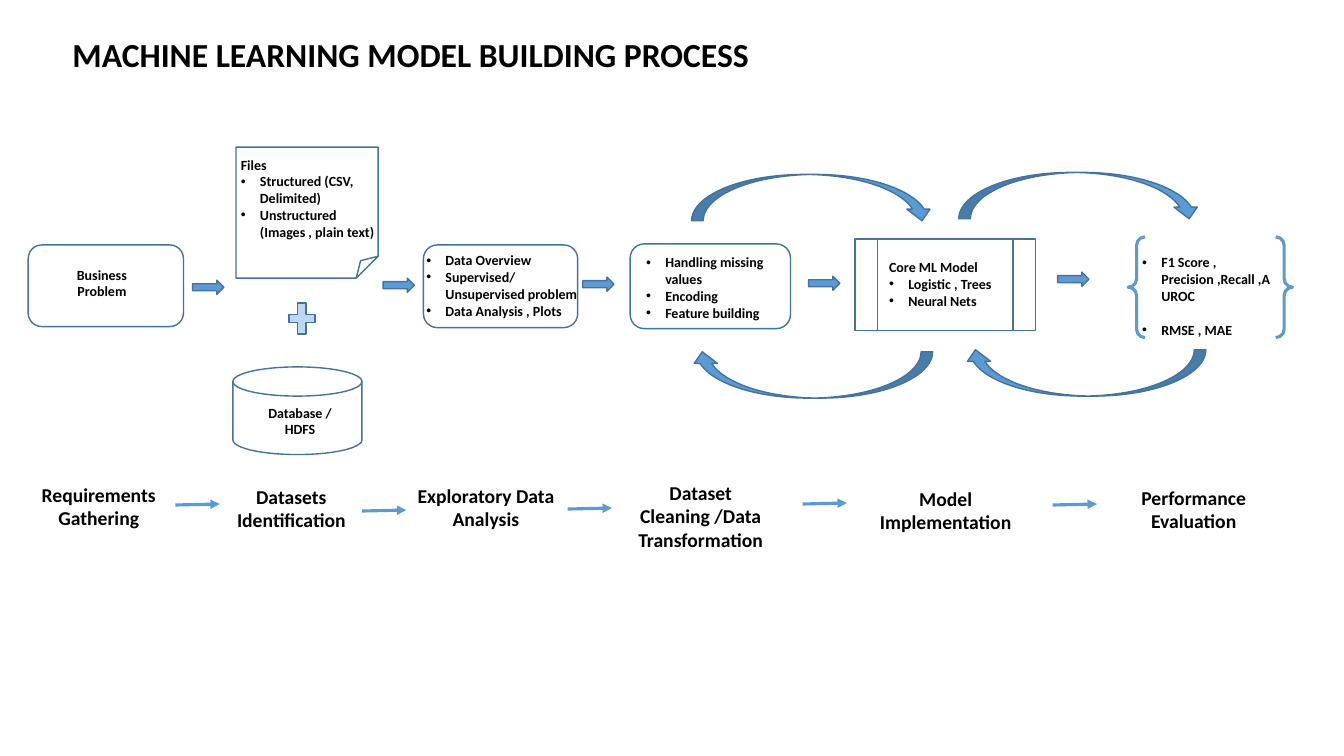
from lxml import etree
from pptx import Presentation
from pptx import util as u
from pptx.dml.color import RGBColor
from pptx.enum import shapes, text
from pptx.oxml.ns import qn

MSO = shapes.MSO_SHAPE
BLUE, EDGE, PALE, BLACK = "5B9BD5", "43739E", "BDD7EE", "000000"
INDENT = u.Inches(0.19)

# Each stage shape: preset, box, outline colour, outline width
STAGE_SHAPES = [
    (MSO.ROUNDED_RECTANGLE, (0, 0.97, 1.54, 0.81), EDGE, 1),
    (MSO.FOLDED_CORNER, (2.06, 0, 1.41, 1.3), EDGE, 1),
    (MSO.FLOWCHART_MAGNETIC_DISK, (2.03, 2.18, 1.28, 0.87), EDGE, 1),
    (MSO.ROUNDED_RECTANGLE, (3.92, 0.97, 1.53, 0.82), EDGE, 1),
    (MSO.ROUNDED_RECTANGLE, (5.97, 0.96, 1.59, 0.84), EDGE, 1),
    (MSO.FLOWCHART_PREDEFINED_PROCESS, (8.2, 0.91, 1.79, 0.91), EDGE, 1),
    (MSO.DOUBLE_BRACE, (10.91, 0.89, 1.63, 1), BLUE, 2.25),
]
# Each stage text: box, heading lines, bulleted lines, centred
STAGE_TEXTS = [
    ((0.22, 1.13, 1.02, 0.44), ["Business Problem"], [], True),
    ((2.01, 0.04, 1.54, 1.16), ["Files"],
     ["Structured (CSV, Delimited)", "Unstructured (Images , plain text)"], False),
    ((2.14, 2.5, 1.11, 0.44), ["Database / HDFS"], [], True),
    ((3.85, 0.99, 1.73, 1.28), [],
     ["Data Overview", "Supervised/ Unsupervised problem", "Data Analysis , Plots"], False),
    ((6.03, 1.01, 1.52, 0.77), [],
     ["Handling missing values", "Encoding", "Feature building"], False),
    ((8.44, 1.06, 1.52, 0.94), ["Core ML Model"], ["Logistic , Trees", "Neural Nets"], False),
    ((10.95, 1.01, 1.52, 0.77), [], ["F1 Score , Precision ,Recall ,AUROC", "RMSE , MAE"], False),
]
FLOW_ARROWS = [(1.63, 1.32), (3.52, 1.3), (5.5, 1.29), (7.74, 1.28), (10.21, 1.24)]
# Each loop: unrotated box, rotation
LOOPS = [
    ((2.7, 1.76, 0.46, 2.4), 90), ((-0.01, 1.78, 0.46, 2.4), 90),
    ((0, 0.02, 0.46, 2.4), 270), ((2.65, 0, 0.46, 2.4), 270),
]
# Each label: left, top, height, lines
LABELS = [
    (0, 0.02, 0.57, ["Requirements", "Gathering"]),
    (1.91, 0.04, 0.57, ["Datasets Identification"]),
    (3.84, 0.03, 0.57, ["Exploratory Data Analysis"]),
    (5.97, 0, 0.81, ["Dataset Cleaning /Data Transformation"]),
    (8.4, 0.06, 0.57, ["Model Implementation"]),
    (10.86, 0.05, 0.57, ["Performance Evaluation"]),
]
LABEL_ARROWS = [(1.58, 0.29), (3.43, 0.35), (5.47, 0.33), (7.8, 0.28), (10.28, 0.29)]


def color(value):
    return RGBColor.from_string(value)


def place(box, part):
    """Shift a part's left, top, width and height by the corner of its region."""
    return [u.Inches(n) for n in (box[0] + part[0], box[1] + part[1], part[2], part[3])]


def add_outline(slide, preset, at, line=EDGE, width=1, fill=None):
    sp = slide.shapes.add_shape(preset, *at)
    sp.shadow.inherit = False
    if fill:
        sp.fill.solid()
        sp.fill.fore_color.rgb = color(fill)
    else:
        sp.fill.background()
    sp.line.color.rgb = color(line)
    sp.line.width = u.Pt(width)
    return sp


def add_bullet(p):
    pPr = p._p.get_or_add_pPr()
    pPr.set("marL", str(INDENT))
    pPr.set("indent", str(-INDENT))
    etree.SubElement(pPr, qn("a:buFont"), typeface="Arial")
    etree.SubElement(pPr, qn("a:buChar"), char="•")


def add_text(slide, at, size, lines, bullets=(), centred=False):
    tf = slide.shapes.add_textbox(*at).text_frame
    tf.word_wrap = True
    for i, words in enumerate([*lines, *bullets]):
        p = tf.paragraphs[0] if i == 0 else tf.add_paragraph()
        if centred:
            p.alignment = text.PP_ALIGN.CENTER
        if words == "RMSE , MAE":
            p.space_before = u.Pt(12)
        if i >= len(lines):
            add_bullet(p)
        r = p.add_run()
        r.text = words
        r.font.name = "Calibri"
        r.font.size = u.Pt(size)
        r.font.bold = True
        r.font.color.rgb = color(BLACK)
    return tf


def draw_title(slide, box):
    tf = add_text(slide, [u.Inches(n) for n in box], 24,
                  ["MACHINE LEARNING MODEL BUILDING PROCESS"])
    tf.vertical_anchor = text.MSO_ANCHOR.MIDDLE
    tf.paragraphs[0].line_spacing = 0.9


def draw_pipeline(slide, box):
    for preset, part, line, width in STAGE_SHAPES:
        add_outline(slide, preset, place(box, part), line, width)
    add_outline(slide, MSO.MATH_PLUS, place(box, (2.54, 1.49, 0.35, 0.42)), fill=PALE)
    for x, y in FLOW_ARROWS:
        add_outline(slide, MSO.RIGHT_ARROW, place(box, (x, y, 0.31, 0.14)), fill=BLUE)
    for part, lines, bullets, centred in STAGE_TEXTS:
        add_text(slide, place(box, part), 10, lines, bullets, centred)


def draw_stage_labels(slide, box):
    for x, y, height, lines in LABELS:
        add_text(slide, place(box, (x, y, 1.64, height)), 14, lines, centred=True)
    for x, y in LABEL_ARROWS:
        left, top, dx, dy = place(box, (x, y, 0.44, -0.01))
        line = slide.shapes.add_connector(
            shapes.MSO_CONNECTOR.STRAIGHT, left, top, left + dx, top + dy)
        line.line.color.rgb = color(BLUE)
        line.line.width = u.Pt(2.25)
        etree.SubElement(line.line._get_or_add_ln(), qn("a:tailEnd"), type="triangle")
        etree.SubElement(line._element.spPr, qn("a:effectLst"))


def draw_feedback_loops(slide, box):
    for part, rotation in LOOPS:
        sp = add_outline(slide, MSO.CURVED_LEFT_ARROW, place(box, part), fill=BLUE)
        sp.rotation = rotation


def main():
    prs = Presentation()
    prs.slide_width, prs.slide_height = u.Inches(13.33), u.Inches(7.5)
    slide = prs.slides.add_slide(prs.slide_layouts[6])
    draw_title(slide, (0.62, 0.25, 11.31, 0.62))
    draw_pipeline(slide, (0.28, 1.46))
    draw_stage_labels(slide, (0.16, 4.72))
    draw_feedback_loops(slide, (7.83, 0.74))
    prs.save("out.pptx")


if __name__ == "__main__":
    main()
